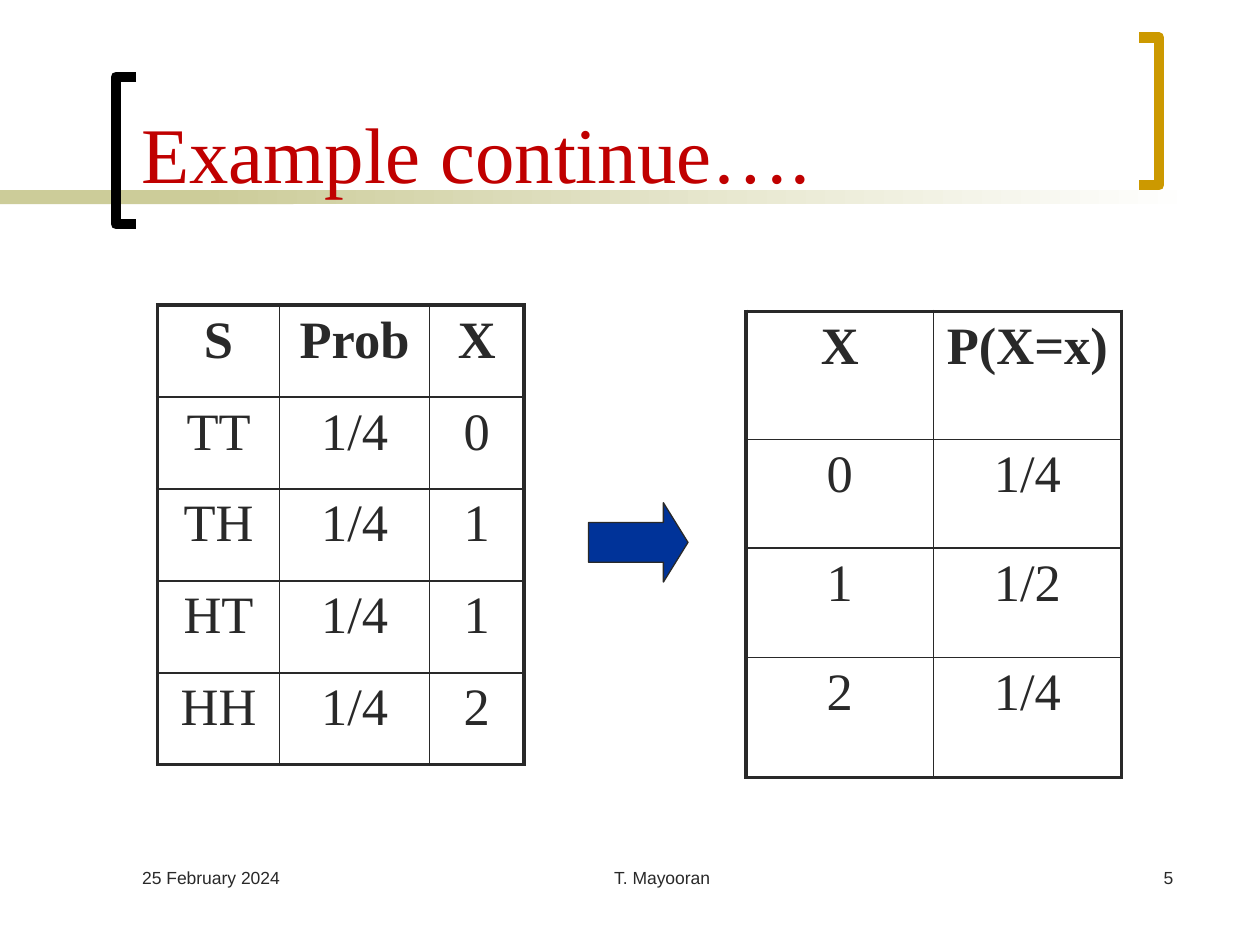
"""Build the slide that turns a sample space into a probability distribution."""
from dataclasses import dataclass

import pptx
import pptx.dml.color
import pptx.enum.shapes
import pptx.enum.text
import pptx.oxml
import pptx.oxml.ns
import pptx.util

Inches = pptx.util.Inches
Pt = pptx.util.Pt
RGBColor = pptx.dml.color.RGBColor
Align = pptx.enum.text.PP_ALIGN
Anchor = pptx.enum.text.MSO_ANCHOR
Preset = pptx.enum.shapes.MSO_SHAPE

INK = RGBColor(0x29, 0x29, 0x29)
RED = RGBColor(0xC0, 0x00, 0x00)
BLUE = RGBColor(0x00, 0x33, 0x99)
SAND = RGBColor(0xCC, 0xCC, 0x99)
GOLD = RGBColor(0xCC, 0x99, 0x00)
BLACK = RGBColor(0x00, 0x00, 0x00)
WHITE = RGBColor(0xFF, 0xFF, 0xFF)
SERIF = "Times New Roman"
OUTER_LINE = 2.25
INNER_LINE = 1


@dataclass
class Bracket:
    spine: float
    tip: float
    top: float
    color: RGBColor
    height: float = 1.17


@dataclass
class Grid:
    left: float
    top: float
    widths: list[float]
    heights: list[float]
    rows: list[list[str]]


@dataclass
class Footer:
    text: str
    left: float
    width: float
    align: Align


BRACKETS = [
    Bracket(0.92, 1.08, 0.61, BLACK),
    Bracket(9.2, 9.04, 0.3, GOLD),
]
GRIDS = [
    Grid(1.25, 2.42, [0.97, 1.19, 0.75], [0.73] * 5, [
        ["S", "Prob", "X"],
        ["TT", "1/4", "0"],
        ["TH", "1/4", "1"],
        ["HT", "1/4", "1"],
        ["HH", "1/4", "2"],
    ]),
    Grid(5.92, 2.47, [1.49, 1.49], [1.02, 0.86, 0.87, 0.95], [
        ["X", "P(X=x)"],
        ["0", "1/4"],
        ["1", "1/2"],
        ["2", "1/4"],
    ]),
]
FOOTERS = [
    Footer("25 February 2024", 1.03, 2.08, Align.LEFT),
    Footer("T. Mayooran", 3.67, 3.17, Align.CENTER),
    Footer("5", 7.33, 2.08, Align.RIGHT),
]


def write(frame, text: str, *, size: float, font: str = SERIF, color: RGBColor = INK,
          bold: bool = False, align: Align = Align.LEFT) -> None:
    """Put one formatted line of text in a frame."""
    para = frame.paragraphs[0]
    para.alignment = align
    span = para.add_run()
    span.text = text
    span.font.size = Pt(size)
    span.font.name = font
    span.font.bold = bold
    span.font.color.rgb = color


def add_preset(page, preset: Preset, left: float, top: float, width: float, height: float):
    """Add a preset shape without shadow or line."""
    shape = page.shapes.add_shape(preset, Inches(left), Inches(top), Inches(width), Inches(height))
    shape.shadow.inherit = False
    shape.line.fill.background()
    return shape


def add_rule(page) -> None:
    """Draw the solid and fading halves of the rule under the title."""
    solid = add_preset(page, Preset.RECTANGLE, 0, 1.51, 2.33, 0.11)
    solid.fill.solid()
    solid.fill.fore_color.rgb = SAND
    fading = add_preset(page, Preset.RECTANGLE, 1.58, 1.51, 7.92, 0.11)
    fading.fill.gradient()
    fading.fill.gradient_angle = 0
    for stop, color, position in zip(fading.fill.gradient_stops, (SAND, WHITE), (0, 1)):
        stop.color.rgb = color
        stop.position = position


def add_bracket(page, bracket: Bracket) -> None:
    """Draw a square bracket as an open outline."""
    bottom = bracket.top + bracket.height
    builder = page.shapes.build_freeform(Inches(bracket.tip), Inches(bracket.top))
    corners = [(bracket.spine, bracket.top), (bracket.spine, bottom), (bracket.tip, bottom)]
    builder.add_line_segments([(Inches(x), Inches(y)) for x, y in corners], close=False)
    shape = builder.convert_to_shape()
    shape.shadow.inherit = False
    shape.fill.background()
    shape.line.color.rgb = bracket.color
    shape.line.width = Pt(6)


def set_border(cell, side: str, width: float) -> None:
    """Draw one side of a table cell."""
    properties = cell._tc.get_or_add_tcPr()
    properties.append(pptx.oxml.parse_xml(
        f'<a:ln{side} {pptx.oxml.ns.nsdecls("a")} w="{Pt(width)}">'
        f'<a:solidFill><a:srgbClr val="{INK}"/></a:solidFill></a:ln{side}>'))


def add_grid(page, grid: Grid) -> None:
    """Add a table with a heavy frame and thin inner lines."""
    row_count, column_count = len(grid.heights), len(grid.widths)
    table = page.shapes.add_table(
        row_count, column_count, Inches(grid.left), Inches(grid.top),
        Inches(sum(grid.widths)), Inches(sum(grid.heights))).table
    table.first_row = table.horz_banding = False
    for column, width in zip(table.columns, grid.widths):
        column.width = Inches(width)
    for row, height in zip(table.rows, grid.heights):
        row.height = Inches(height)
    for i, texts in enumerate(grid.rows):
        for j, text in enumerate(texts):
            cell = table.cell(i, j)
            edges = {"L": j == 0, "R": j == column_count - 1,
                     "T": i == 0, "B": i == row_count - 1}
            for side, is_outer in edges.items():
                set_border(cell, side, OUTER_LINE if is_outer else INNER_LINE)
            cell.fill.background()
            write(cell.text_frame, text, size=30, bold=i == 0, align=Align.CENTER)


def add_arrow(page) -> None:
    """Draw the arrow between the tables."""
    arrow = add_preset(page, Preset.RIGHT_ARROW, 4.67, 3.99, 0.79, 0.63)
    arrow.adjustments[0] = 0.5
    arrow.adjustments[1] = 0.31
    arrow.fill.solid()
    arrow.fill.fore_color.rgb = BLUE
    arrow.line.color.rgb = INK
    arrow.line.width = Pt(0.75)


def add_title(page, text: str) -> None:
    """Place the title in front of the rule."""
    title = page.shapes.title
    title.left, title.top = Inches(1.02), Inches(0.08)
    title.width, title.height = Inches(7.83), Inches(1.55)
    title.text_frame.vertical_anchor = Anchor.BOTTOM
    write(title.text_frame, text, size=45, color=RED)
    page.shapes._spTree.append(title._element)


def add_footer(page, footer: Footer) -> None:
    """Add one footer text."""
    box = page.shapes.add_textbox(
        Inches(footer.left), Inches(6.83), Inches(footer.width), Inches(0.5))
    box.text_frame.word_wrap = True
    write(box.text_frame, footer.text, size=10, font="Arial", align=footer.align)


def main() -> None:
    """Build and save the deck."""
    deck = pptx.Presentation()
    deck.slide_width, deck.slide_height = Inches(10), Inches(7.5)
    page = deck.slides.add_slide(deck.slide_layouts[5])
    add_rule(page)
    for bracket in BRACKETS:
        add_bracket(page, bracket)
    for grid in GRIDS:
        add_grid(page, grid)
    add_arrow(page)
    add_title(page, "Example continue….")
    for footer in FOOTERS:
        add_footer(page, footer)
    deck.save("out.pptx")


if __name__ == "__main__":
    main()
